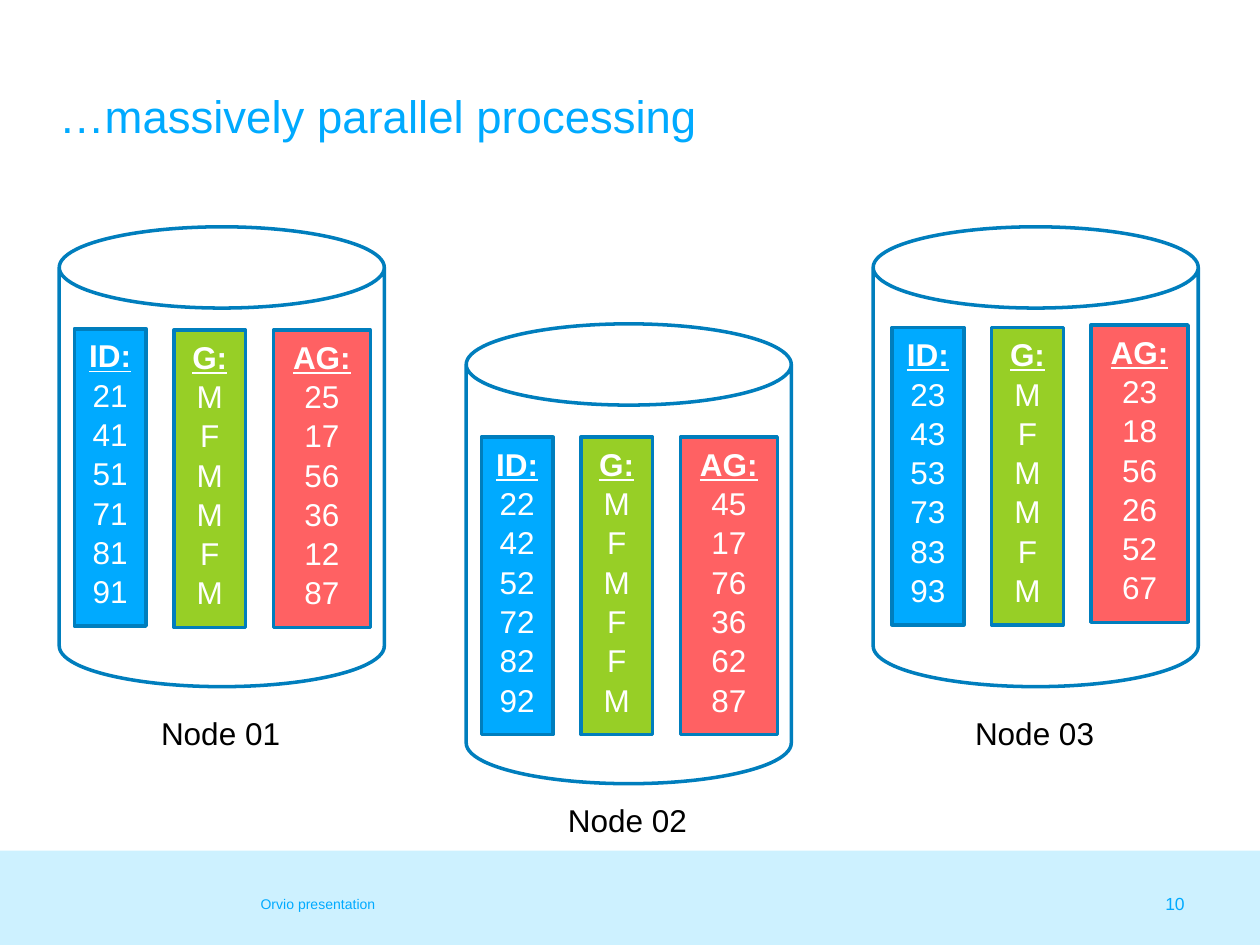
from dataclasses import dataclass

from pptx import Presentation
from pptx.dml.color import RGBColor
from pptx.enum import shapes, text
from pptx.util import Inches, Pt

FONT = "Arial"
SKY = RGBColor(0x00, 0xAA, 0xFF)
PALE_SKY = RGBColor(0xCD, 0xF1, 0xFF)
OUTLINE = RGBColor(0x00, 0x7E, 0xBD)
GREEN = RGBColor(0x97, 0xCF, 0x26)
CORAL = RGBColor(0xFF, 0x61, 0x63)
WHITE = RGBColor(0xFF, 0xFF, 0xFF)
BLACK = RGBColor(0x00, 0x00, 0x00)

CAN_WIDTH, CAN_HEIGHT = 2.58, 3.65
COLUMN_PITCH, COLUMN_HEIGHT = 0.79, 2.36
LABEL_WIDTH, LABEL_HEIGHT = 1.16, 0.4
COLUMN_STYLES = [("ID:", 0.57, SKY), ("G:", 0.57, GREEN), ("AG:", 0.77, CORAL)]


@dataclass
class Node:
    """A database node; column and label offsets are measured from its can."""
    name: str
    left: float
    top: float
    label_offset: float
    column_left: float
    column_tops: tuple
    columns: tuple


NODES = [
    Node("Node 01", 0.47, 1.8, 3.82, 0.12, (0.81, 0.82, 0.82),
         ("21 41 51 71 81 91", "M F M M F M", "25 17 56 36 12 87")),
    Node("Node 02", 3.7, 2.57, 3.74, 0.12, (0.9, 0.9, 0.9),
         ("22 42 52 72 82 92", "M F M F F M", "45 17 76 36 62 87")),
    Node("Node 03", 6.93, 1.8, 3.82, 0.15, (0.8, 0.8, 0.78),
         ("23 43 53 73 83 93", "M F M M F M", "23 18 56 26 52 67")),
]


def set_font(paragraph, size, color):
    paragraph.font.name = FONT
    paragraph.font.size = Pt(size)
    paragraph.font.color.rgb = color


def add_shape(slide, kind, left, top, width, height, fill=None, line=None):
    shape = slide.shapes.add_shape(
        kind, Inches(left), Inches(top), Inches(width), Inches(height))
    shape.shadow.inherit = False
    if fill is None:
        shape.fill.background()
    else:
        shape.fill.solid()
        shape.fill.fore_color.rgb = fill
    if line is None:
        shape.line.fill.background()
    else:
        shape.line.color.rgb = line
        shape.line.width = Pt(2)
    return shape


def add_text(slide, wording, left, top, width, height, size, color,
             align=text.PP_ALIGN.LEFT, anchor=text.MSO_ANCHOR.MIDDLE):
    box = slide.shapes.add_textbox(
        Inches(left), Inches(top), Inches(width), Inches(height))
    frame = box.text_frame
    frame.word_wrap = True
    frame.vertical_anchor = anchor
    paragraph = frame.paragraphs[0]
    paragraph.text = wording
    paragraph.alignment = align
    set_font(paragraph, size, color)
    return frame


def add_title(slide, left, top, width, height):
    frame = add_text(slide, "…massively parallel processing",
                     left, top, width, height, 26, SKY)
    frame.margin_left = frame.margin_right = frame.margin_top = 0


def add_footer(slide, left, top, width, height):
    add_shape(slide, shapes.MSO_SHAPE.RECTANGLE,
              left, top, width, height, PALE_SKY)
    add_text(slide, "Orvio presentation",
             left + 1.97, top + 0.25, 3.17, 0.35, 8, SKY)
    add_text(slide, "10", left + width - 0.89, top + 0.33, 0.39, 0.18,
             10, SKY, text.PP_ALIGN.RIGHT)


def add_column(slide, left, top, width, fill, heading, values):
    shape = add_shape(slide, shapes.MSO_SHAPE.RECTANGLE,
                      left, top, width, COLUMN_HEIGHT, fill, OUTLINE)
    frame = shape.text_frame
    frame.vertical_anchor = text.MSO_ANCHOR.TOP
    frame.text = "\n".join([heading, *values])
    for paragraph in frame.paragraphs:
        paragraph.alignment = text.PP_ALIGN.CENTER
        paragraph.line_spacing = 1.04
        set_font(paragraph, 18, WHITE)
    heading_font = frame.paragraphs[0].font
    heading_font.bold = heading_font.underline = True


def add_node(slide, node):
    add_shape(slide, shapes.MSO_SHAPE.CAN, node.left, node.top,
              CAN_WIDTH, CAN_HEIGHT, line=OUTLINE)
    parts = zip(COLUMN_STYLES, node.column_tops, node.columns)
    for index, ((heading, width, fill), top, values) in enumerate(parts):
        left = node.left + node.column_left + index * COLUMN_PITCH
        add_column(slide, left, node.top + top, width, fill,
                   heading, values.split())
    label = add_text(slide, node.name,
                     node.left + (CAN_WIDTH - LABEL_WIDTH) / 2,
                     node.top + node.label_offset, LABEL_WIDTH, LABEL_HEIGHT,
                     18, BLACK, anchor=text.MSO_ANCHOR.TOP)
    label.word_wrap = False


def main():
    presentation = Presentation()
    presentation.slide_width = Inches(10)
    presentation.slide_height = Inches(7.5)
    slide = presentation.slides.add_slide(presentation.slide_layouts[6])
    add_footer(slide, 0, 6.75, 10, 0.75)
    add_title(slide, 0.47, 0.47, 9.03, 0.94)
    for node in NODES:
        add_node(slide, node)
    presentation.save("out.pptx")


if __name__ == "__main__":
    main()
